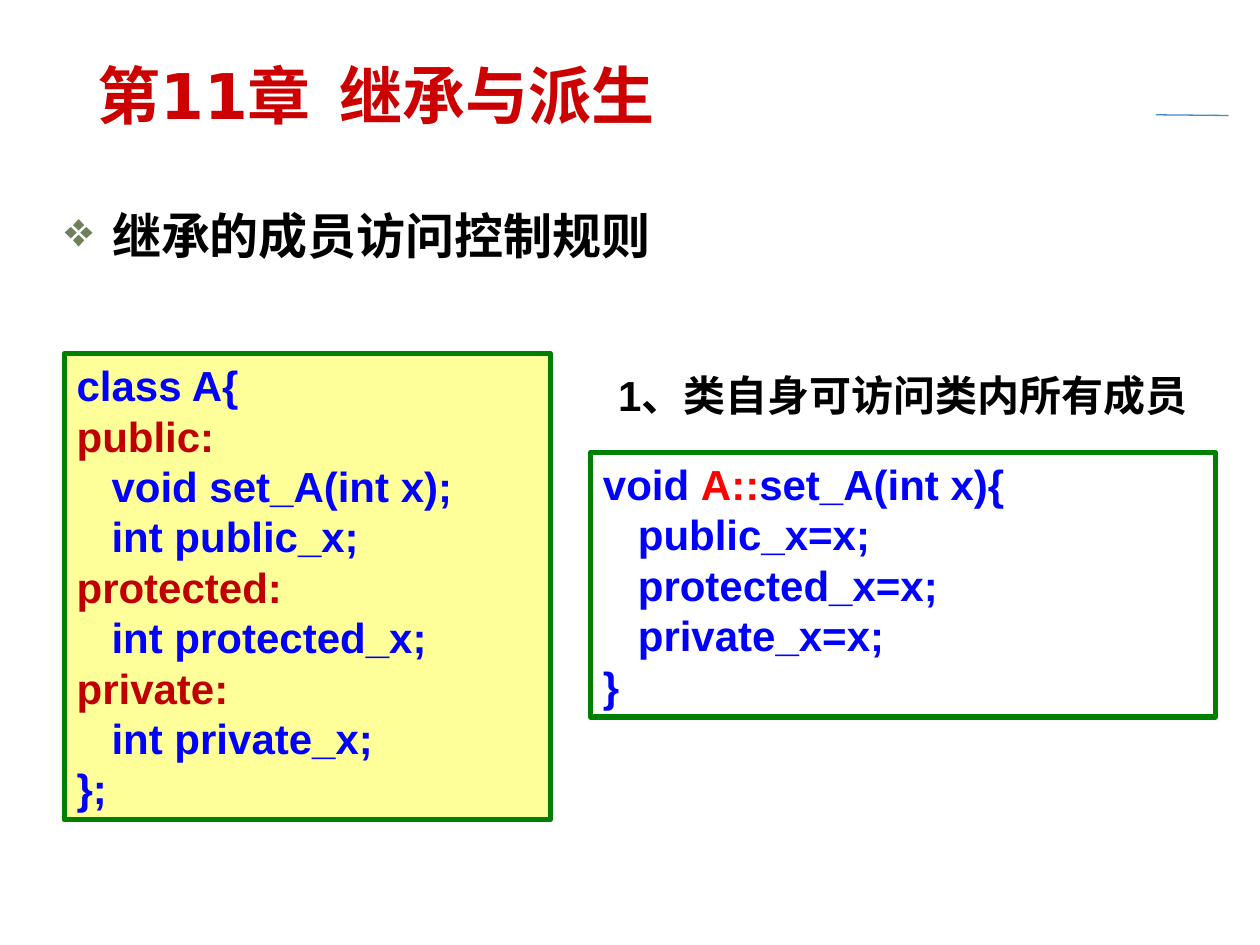
from dataclasses import dataclass

from lxml import etree
from pptx import Presentation
from pptx.dml.color import RGBColor
from pptx.enum.shapes import MSO_CONNECTOR, MSO_SHAPE
from pptx.enum.text import MSO_ANCHOR, PP_ALIGN
from pptx.oxml.ns import qn
from pptx.util import Pt

STRAIGHT = MSO_CONNECTOR.STRAIGHT
RECTANGLE = MSO_SHAPE.RECTANGLE
TOP, MIDDLE = MSO_ANCHOR.TOP, MSO_ANCHOR.MIDDLE
LEFT, CENTER = PP_ALIGN.LEFT, PP_ALIGN.CENTER


@dataclass(frozen=True)
class Theme:
    title: str = "CC0000"
    text: str = "000000"
    code: str = "0000FF"
    access: str = "C00000"
    scope: str = "FF0000"
    bullet: str = "6E815B"
    border: str = "008000"
    panel: str = "FFFF99"
    rule: str = "438ACB"
    heading_font: str = "DejaVu Sans"
    body_font: str = "Arial"
    title_size: int = 36
    topic_size: int = 28
    body_size: int = 24


theme = Theme()


def rgb(value):
    return RGBColor.from_string(value)


def write_lines(box, lines, font, size, align=LEFT, anchor=TOP):
    """Fill a box with lines, each a list of (text, colour) spans."""
    frame = box.text_frame
    frame.word_wrap = True
    frame.vertical_anchor = anchor
    frame.text = "\n".join("".join(text for text, _ in line) for line in lines)
    for paragraph, line in zip(frame.paragraphs, lines):
        paragraph.alignment = align
        paragraph.text = ""
        for text, color in line:
            span = paragraph.add_run()
            span.text = text
            span.font.name = font
            span.font.size = Pt(size)
            span.font.bold = True
            span.font.color.rgb = rgb(color)


deck = Presentation()
deck.slide_width, deck.slide_height = Pt(720), Pt(540)
page = deck.slides.add_slide(deck.slide_layouts[6])

# Short rule at the top right
rule = page.shapes.add_connector(STRAIGHT, Pt(660.5), Pt(65.6), Pt(702), Pt(66))
rule.line.color.rgb = rgb(theme.rule)
rule.line.width = Pt(0.75)
etree.SubElement(rule.element.spPr, qn("a:effectLst"))

# Chapter title
title = page.shapes.add_textbox(Pt(48.5), Pt(31.5), Pt(538.5), Pt(45))
write_lines(title, [[("第11章  继承与派生", theme.title)]],
            theme.heading_font, theme.title_size, anchor=MIDDLE)

# Topic with a diamond bullet
topic = page.shapes.add_textbox(Pt(30), Pt(114), Pt(659), Pt(45))
write_lines(topic, [[("继承的成员访问控制规则", theme.text)]],
            theme.heading_font, theme.topic_size)
properties = topic.text_frame.paragraphs[0]._p.get_or_add_pPr()
properties.set("marL", str(Pt(27)))
properties.set("indent", str(-Pt(27)))
bullet_color = etree.SubElement(properties, qn("a:buClr"))
etree.SubElement(bullet_color, qn("a:srgbClr"), val=theme.bullet)
etree.SubElement(properties, qn("a:buChar"), char="❖")

# Code panels: the class and its member function
class_code = [
    "class A{",
    "public:",
    "   void set_A(int x);",
    "   int public_x;",
    "protected:",
    "   int protected_x;",
    "private:",
    "   int private_x;",
    "};",
]
class_lines = [[(line, theme.access if line.endswith(":") else theme.code)]
               for line in class_code]
function_lines = [[("void ", theme.code), ("A::", theme.scope),
                   ("set_A(int x){", theme.code)]]
function_lines += [[(line, theme.code)] for line in
                   ("   public_x=x;", "   protected_x=x;", "   private_x=x;", "}")]

panels = [
    (36.75, 202, 277.75, 266.5, theme.panel, class_lines),
    (337.5, 258.5, 357, 151.25, None, function_lines),
]
for left, top, width, height, fill, lines in panels:
    panel = page.shapes.add_shape(RECTANGLE, Pt(left), Pt(top), Pt(width), Pt(height))
    panel.shadow.inherit = False
    if fill:
        panel.fill.solid()
        panel.fill.fore_color.rgb = rgb(fill)
    else:
        panel.fill.background()
    panel.line.color.rgb = rgb(theme.border)
    panel.line.width = Pt(3)
    write_lines(panel, lines, theme.body_font, theme.body_size)

# Rule stated above the member function
label = page.shapes.add_textbox(Pt(337.5), Pt(207.5), Pt(357), Pt(36))
write_lines(label, [[("1、类自身可访问类内所有成员", theme.text)]],
            theme.body_font, theme.body_size, align=CENTER)

deck.save("out.pptx")
